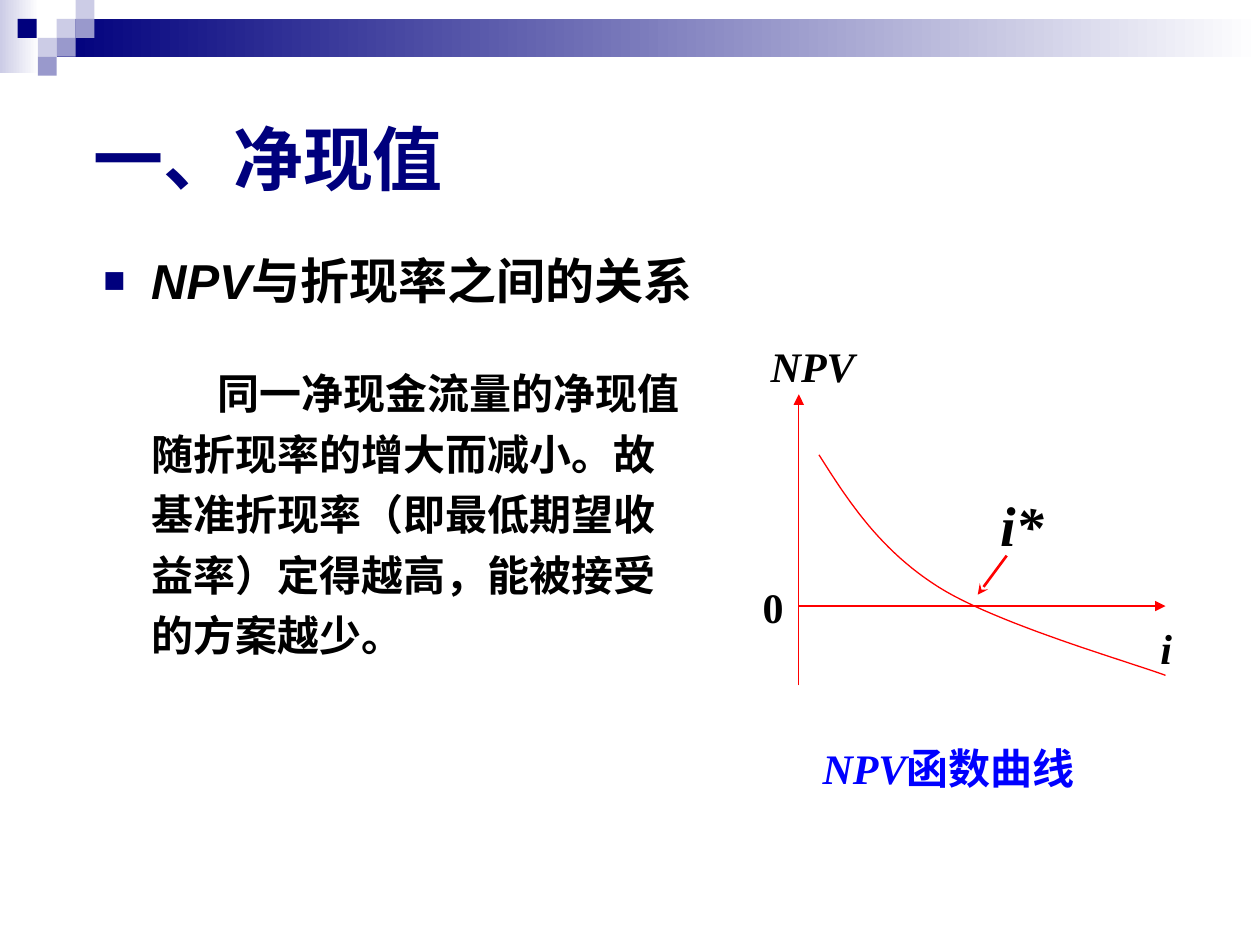
from dataclasses import dataclass

from lxml.etree import SubElement
from pptx import Presentation
from pptx.dml.color import RGBColor
from pptx.enum.shapes import MSO_CONNECTOR, MSO_SHAPE
from pptx.enum.text import MSO_ANCHOR, MSO_AUTO_SIZE, PP_ALIGN
from pptx.oxml.ns import qn
from pptx.util import Inches, Pt


@dataclass(frozen=True)
class Theme:
    navy: str = "00007D"
    violet: str = "9999CC"
    lilac: str = "CCCCE6"
    white: str = "FFFFFF"
    black: str = "000000"
    red: str = "FF0000"
    blue: str = "0000FF"
    sans: str = "Arial"
    serif: str = "Times New Roman"
    title_size: int = 40
    marker_size: int = 32
    heading_size: int = 28
    text_size: int = 24


def set_values(target, values):
    for name, value in values.items():
        setattr(target, name, value)


def box(left, top, width, height):
    names = ("left", "top", "width", "height")
    return dict(zip(names, map(Inches, (left, top, width, height))))


def curve_points(start, segments, steps=24):
    """Sample a chain of cubic Bezier segments, each given as two controls and an end."""
    points = [start]
    for control_1, control_2, end in segments:
        for step in range(1, steps + 1):
            t = step / steps
            weights = ((1 - t) ** 3, 3 * t * (1 - t) ** 2, 3 * t * t * (1 - t), t ** 3)
            anchors = (start, control_1, control_2, end)
            points.append(tuple(sum(w * a[axis] for w, a in zip(weights, anchors))
                                for axis in (0, 1)))
        start = end
    return points


class SlideBuilder:
    def __init__(self, slide, theme):
        self.slide = slide
        self.shapes = slide.shapes
        self.theme = theme

    def rectangle(self, place, color, fade_to=None):
        shape = self.shapes.add_shape(MSO_SHAPE.RECTANGLE, **box(*place))
        shape.shadow.inherit = False
        shape.line.fill.background()
        if fade_to:
            shape.fill.gradient()
            shape.fill.gradient_angle = 0
            for stop, stop_color in zip(shape.fill.gradient_stops, (color, fade_to)):
                stop.color.rgb = RGBColor.from_string(stop_color)
        else:
            shape.fill.solid()
            shape.fill.fore_color.rgb = RGBColor.from_string(color)

    def runs(self, paragraph, pieces, size, color, font):
        """Fill a paragraph with bold (text, italic) pieces."""
        for text, italic in pieces:
            run = paragraph.add_run()
            run.text = text
            set_values(run.font, {"size": Pt(size), "bold": True, "italic": italic,
                                  "name": font})
            run.font.color.rgb = RGBColor.from_string(color)

    def indent(self, paragraph, margin, first_line):
        properties = paragraph._p.get_or_add_pPr()
        properties.set("marL", str(Inches(margin)))
        properties.set("indent", str(Inches(first_line)))

    def bullet(self, paragraph, character=None):
        properties = paragraph._p.get_or_add_pPr()
        if character is None:
            SubElement(properties, qn("a:buNone"))
            return
        color = SubElement(properties, qn("a:buClr"))
        SubElement(color, qn("a:srgbClr"), val=self.theme.navy)
        SubElement(properties, qn("a:buSzPct"), val="75000")
        SubElement(properties, qn("a:buFont"), typeface=self.theme.sans)
        SubElement(properties, qn("a:buChar"), char=character)

    def title(self, place, text):
        title = self.shapes.title
        set_values(title, box(*place))
        set_values(title.text_frame, {"vertical_anchor": MSO_ANCHOR.MIDDLE,
                                      "auto_size": MSO_AUTO_SIZE.NONE})
        paragraph = title.text_frame.paragraphs[0]
        paragraph.alignment = PP_ALIGN.LEFT
        theme = self.theme
        self.runs(paragraph, [(text, False)], theme.title_size, theme.navy, theme.sans)

    def body(self, place, heading, text):
        theme = self.theme
        body = self.slide.placeholders[1]
        set_values(body, box(*place))
        frame = body.text_frame
        frame.auto_size = MSO_AUTO_SIZE.NONE
        rows = (
            (heading, theme.heading_size, -0.38, "■",
             {"space_before": Pt(7), "space_after": Pt(10.5)}),
            ([(text, False)], theme.text_size, 0.53, None,
             {"space_before": Pt(17), "space_after": Pt(9), "line_spacing": 1.2}),
        )
        for index, (pieces, size, first_line, character, spacing) in enumerate(rows):
            paragraph = frame.add_paragraph() if index else frame.paragraphs[0]
            set_values(paragraph, spacing)
            self.indent(paragraph, 0.38, first_line)
            self.bullet(paragraph, character)
            self.runs(paragraph, pieces, size, theme.black, theme.sans)

    def label(self, place, pieces, size=None, color=None, align=PP_ALIGN.CENTER,
              margin=0, space_before=15):
        theme = self.theme
        frame = self.shapes.add_textbox(**box(*place)).text_frame
        frame.word_wrap = True
        paragraph = frame.paragraphs[0]
        set_values(paragraph, {"alignment": align, "space_before": Pt(space_before)})
        self.indent(paragraph, margin, 0)
        self.runs(paragraph, pieces, size or theme.text_size, color or theme.black,
                  theme.serif)

    def arrow(self, start, end, width=0.75, head="triangle"):
        connector = self.shapes.add_connector(
            MSO_CONNECTOR.STRAIGHT, *map(Inches, start + end))
        connector.line.width = Pt(width)
        connector.line.color.rgb = RGBColor.from_string(self.theme.red)
        properties = connector.element.spPr
        SubElement(properties.find(qn("a:ln")), qn("a:tailEnd"), type=head)
        SubElement(properties, qn("a:effectLst"))

    def curve(self, start, segments):
        points = [tuple(map(Inches, point)) for point in curve_points(start, segments)]
        builder = self.shapes.build_freeform(*points[0])
        builder.add_line_segments(points[1:], close=False)
        shape = builder.convert_to_shape()
        shape.shadow.inherit = False
        shape.fill.background()
        shape.line.width = Pt(0.75)
        shape.line.color.rgb = RGBColor.from_string(self.theme.red)


def add_header_band(builder):
    theme = builder.theme
    builder.rectangle((0, 0, 0.31, 0.58), theme.lilac, theme.white)
    builder.rectangle((0.45, 0.15, 9.55, 0.3), theme.navy, theme.white)
    side = 0.15
    tiles = {theme.lilac: ((3, 1), (4, 0), (2, 2)),
             theme.violet: ((4, 1), (3, 2), (2, 3))}
    for color, cells in tiles.items():
        for column, row in cells:
            builder.rectangle((column * side, row * side, side, side), color)
    builder.rectangle((0.14, side, side, side), theme.navy)


def add_npv_graph(builder):
    theme = builder.theme
    axis_x, axis_y = 6.34, 4.81
    builder.arrow((axis_x, 5.44), (axis_x, 3.13))
    builder.arrow((axis_x, axis_y), (9.25, axis_y))
    builder.label((5.94, 2.65, 1.02, 0.5), [("NPV", True)])
    builder.label((5.94, 4.57, 0.39, 0.5), [("0", False)])
    builder.label((9.02, 4.89, 0.47, 0.5), [("i", True)])
    builder.curve((6.5, 3.61), [((6.74, 3.99), (6.99, 4.37), (7.45, 4.66)),
                                ((7.91, 4.95), (8.95, 5.25), (9.25, 5.36))])
    builder.label((6.1, 5.84, 3.07, 0.5), [("NPV", True), ("函数曲线", False)],
                  color=theme.blue, align=PP_ALIGN.LEFT, margin=0.33)
    builder.label((7.84, 3.84, 0.6, 0.64), [("i*", True)], size=theme.marker_size,
                  align=PP_ALIGN.LEFT, space_before=0)
    builder.arrow((7.99, 4.41), (7.76, 4.72), width=1.5, head="stealth")


def main():
    presentation = Presentation()
    set_values(presentation, {"slide_width": Inches(10), "slide_height": Inches(7.5)})
    slide = presentation.slides.add_slide(presentation.slide_layouts[1])
    builder = SlideBuilder(slide, Theme())
    add_header_band(builder)
    builder.title((0.64, 0.5, 9, 1.5), "一、净现值")
    builder.body((0.72, 1.94, 4.9, 4.57),
                 [("NPV", True), ("与折现率之间的关系", False)],
                 "同一净现金流量的净现值随折现率的增大而减小。故基准折现率"
                 "（即最低期望收益率）定得越高，能被接受的方案越少。")
    add_npv_graph(builder)
    presentation.save("out.pptx")


if __name__ == "__main__":
    main()
